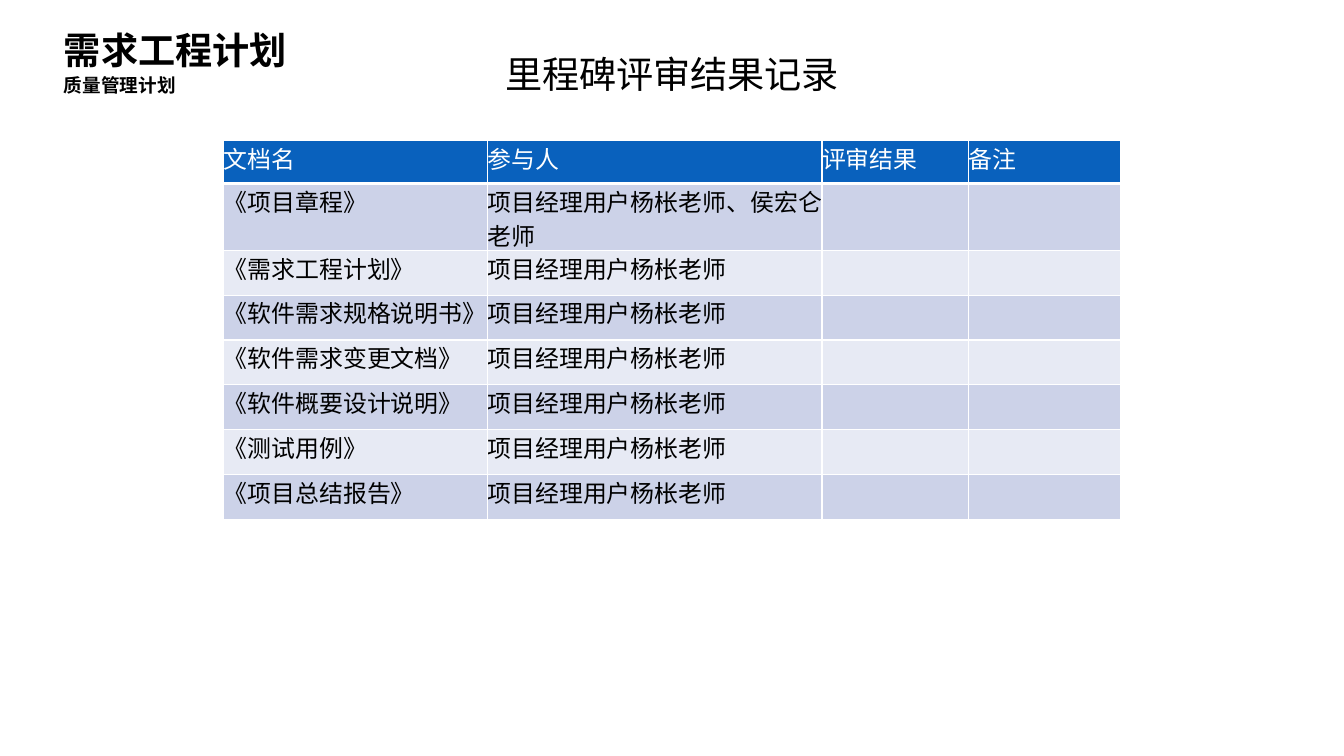
from lxml import etree
from pptx import Presentation
from pptx.dml.color import RGBColor
from pptx.enum.text import MSO_ANCHOR, PP_ALIGN
from pptx.oxml.ns import qn
from pptx.util import Pt

LEFT, CENTER = PP_ALIGN.LEFT, PP_ALIGN.CENTER
TOP, MIDDLE = MSO_ANCHOR.TOP, MSO_ANCHOR.MIDDLE
COLORS = {"ink": "000000", "white": "FFFFFF", "header": "0961BD",
          "odd": "CCD2E8", "even": "E7EAF4"}
CJK = "Noto Sans CJK SC"
REVIEWER = "项目经理用户杨枨老师"
HEADERS = ["文档名", "参与人", "评审结果", "备注"]
REVIEWS = [
    ("《项目章程》", REVIEWER + "、侯宏仑老师"),
    ("《需求工程计划》", REVIEWER),
    ("《软件需求规格说明书》", REVIEWER),
    ("《软件需求变更文档》", REVIEWER),
    ("《软件概要设计说明》", REVIEWER),
    ("《测试用例》", REVIEWER),
    ("《项目总结报告》", REVIEWER),
]


class SlideBuilder:
    """Hold the style and the current slide, and add text and tables."""

    def __init__(self, prs):
        self.s = prs.slides.add_slide(prs.slide_layouts[6])

    def color(self, name):
        return RGBColor.from_string(COLORS[name])

    def run(self, p, text, size, color="ink", font=CJK, bold=False):
        r = p.add_run()
        r.text = text
        r.font.size = Pt(size)
        r.font.bold = bold
        r.font.name = font
        r.font.color.rgb = self.color(color)
        etree.SubElement(r.font._element, qn("a:ea"), typeface=CJK)

    def text(self, box, text, size, font=CJK, bold=False,
             align=LEFT, anchor=MIDDLE, spacing=1.0):
        sp = self.s.shapes.add_textbox(*map(Pt, box))
        tf = sp.text_frame
        tf.word_wrap = True
        tf.vertical_anchor = anchor
        tf.margin_left = tf.margin_top = tf.margin_right = tf.margin_bottom = 0
        p = tf.paragraphs[0]
        p.alignment = align
        p.line_spacing = spacing
        self.run(p, text, size, font=font, bold=bold)

    def border(self, cell, side, width):
        ln = etree.Element(qn("a:" + side), w=str(Pt(width)))
        fill = etree.SubElement(ln, qn("a:solidFill"))
        etree.SubElement(fill, qn("a:srgbClr"), val=COLORS["white"])
        return ln

    def cell(self, cell, text, fill, color, bottom, top):
        cell.margin_left = cell.margin_right = 0
        cell.margin_top = cell.margin_bottom = 0
        cell.fill.solid()
        cell.fill.fore_color.rgb = self.color(fill)
        widths = {"lnL": 1, "lnR": 1, "lnT": top, "lnB": bottom}
        tc_pr = cell._tc.get_or_add_tcPr()
        for i, (side, width) in enumerate(widths.items()):
            tc_pr.insert(i, self.border(cell, side, width))
        if text:
            self.run(cell.text_frame.paragraphs[0], text, 18, color)

    def table(self, left, top, widths, heights, rows):
        frame = self.s.shapes.add_table(
            len(rows), len(widths), Pt(left), Pt(top),
            Pt(sum(widths)), Pt(sum(heights)))
        table = frame.table
        for column, width in zip(table.columns, widths):
            column.width = Pt(width)
        for i, (row, height) in enumerate(zip(table.rows, heights)):
            row.height = Pt(height)
            fill = "header" if i == 0 else "odd" if i % 2 else "even"
            color = "white" if i == 0 else "ink"
            for cell, text in zip(row.cells, rows[i]):
                self.cell(cell, text, fill, color,
                          bottom=3 if i == 0 else 1, top=3 if i == 1 else 1)


def main():
    prs = Presentation()
    prs.slide_width, prs.slide_height = Pt(1012.32), Pt(569.52)
    s = SlideBuilder(prs)
    s.text((48.2, 20.9, 242.6, 33.8), "需求工程计划", 28, "Arial", True)
    s.text((48.2, 55.4, 253.4, 17.3), "质量管理计划", 14, "Arial", True)
    s.text((369.4, 31.7, 273.6, 40.3), "里程碑评审结果记录", 28,
           align=CENTER, anchor=TOP, spacing=1.2)
    s.table(168.5, 105.8, [198.7, 252, 110.2, 114.5],
            [32.4, 50.4] + [33.8] * 6,
            [HEADERS] + [(*review, "", "") for review in REVIEWS])
    prs.save("out.pptx")


if __name__ == "__main__":
    main()
